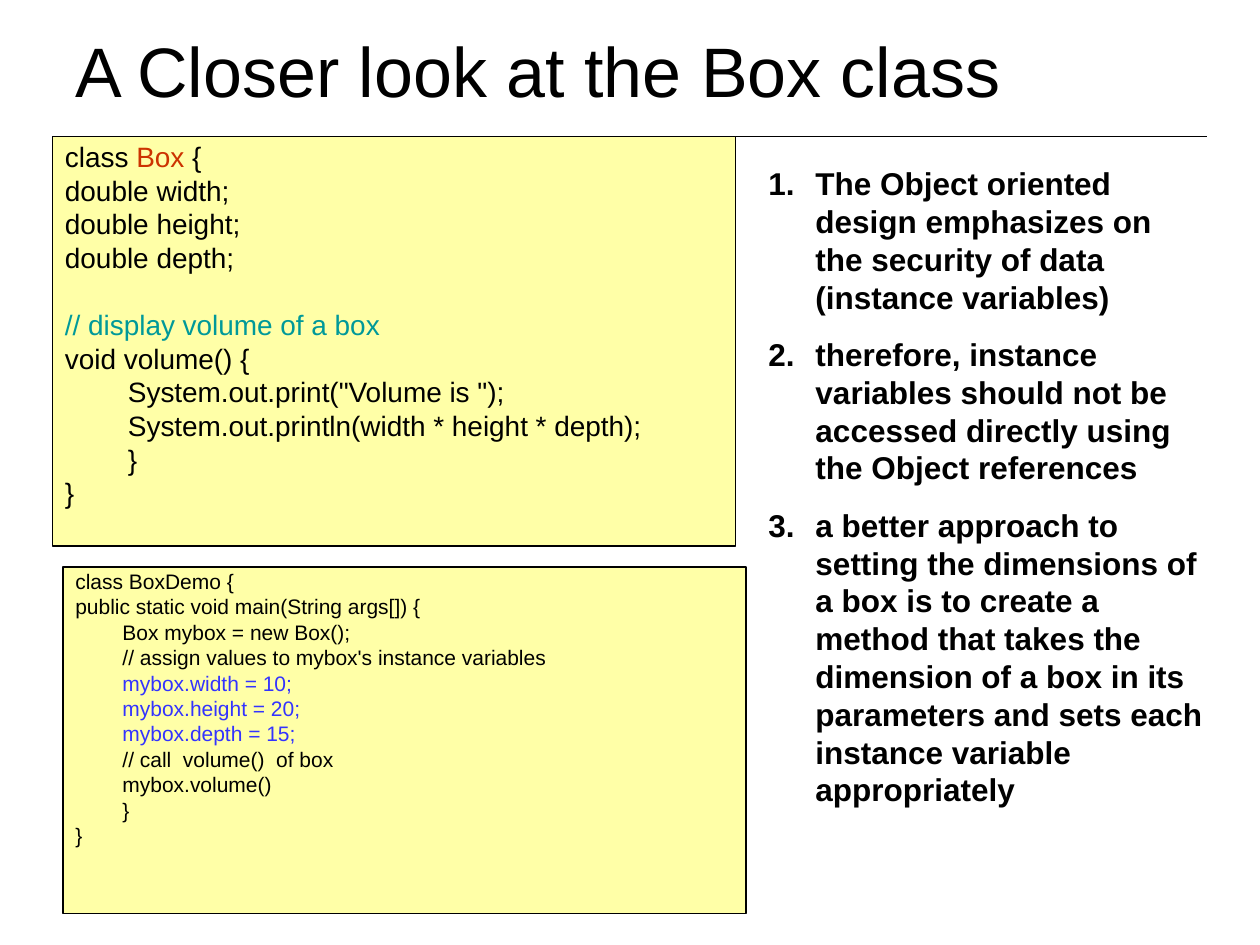
from lxml import etree
from pptx import Presentation
from pptx.dml.color import RGBColor
from pptx.enum.shapes import MSO_CONNECTOR, MSO_SHAPE
from pptx.enum.text import MSO_ANCHOR, PP_ALIGN
from pptx.oxml.ns import qn
from pptx.util import Cm, Pt

STRAIGHT = MSO_CONNECTOR.STRAIGHT
RECTANGLE = MSO_SHAPE.RECTANGLE
TOP, MIDDLE = MSO_ANCHOR.TOP, MSO_ANCHOR.MIDDLE
LEFT = PP_ALIGN.LEFT

FONT = "Arial"
BLACK, PALE_YELLOW = "000000", "FFFFA7"
RED, TEAL, BLUE = "CC3300", "009999", "3333FF"
HANGING = Cm(0.95)
BLANK_LINE = 19.2

BOX_CLASS = [
    [("class ", BLACK), ("Box", RED), (" {", BLACK)],
    [("double width;", BLACK)],
    [("double height;", BLACK)],
    [("double depth;", BLACK)],
    [("// display volume of a box", TEAL)],
    [("void volume() {", BLACK)],
    [('\tSystem.out.print("Volume is ");', BLACK)],
    [("\tSystem.out.println(width * height * depth);", BLACK)],
    [("\t}", BLACK)],
    [("}", BLACK)],
]
COMMENT_LINE = 4

BOX_DEMO = [
    [("class BoxDemo {", BLACK)],
    [("public static void main(String args[]) {", BLACK)],
    [("\tBox mybox = new Box();", BLACK)],
    [("\t// assign values to mybox's instance variables", BLACK)],
    [("\tmybox.width = 10;", BLUE)],
    [("\tmybox.height = 20;", BLUE)],
    [("\tmybox.depth = 15;", BLUE)],
    [("\t// call  volume()  of box", BLACK)],
    [("\tmybox.volume()", BLACK)],
    [("\t}", BLACK)],
    [("}", BLACK)],
]

DESIGN_POINTS = [
    "The Object oriented design emphasizes on the security of data (instance variables)",
    "therefore, instance variables should not be accessed directly using the Object references",
    "a better approach to setting the dimensions of a box is to create a method that takes "
    "the dimension of a box in its parameters and sets each instance variable appropriately",
]


def color(value):
    return RGBColor.from_string(value)


def set_frame(shape, anchor=TOP, wrap=True, top=0.13):
    frame = shape.text_frame
    frame.word_wrap = wrap
    frame.vertical_anchor = anchor
    frame.margin_left = frame.margin_right = Cm(0.25)
    frame.margin_top, frame.margin_bottom = Cm(top), Cm(0.13)
    return frame


def add_paragraphs(frame, lines, size, gap=0, bold=False):
    for index, runs in enumerate(lines):
        paragraph = frame.add_paragraph() if index else frame.paragraphs[0]
        paragraph.alignment = LEFT
        paragraph.space_before = Pt(gap if index else 0)
        for text, run_color in runs:
            run = paragraph.add_run()
            run.text = text
            run.font.name = FONT
            run.font.size = Pt(size)
            run.font.bold = bold
            run.font.color.rgb = color(run_color)
    return frame.paragraphs


def set_hanging(paragraph, numbered=False):
    properties = paragraph._p.get_or_add_pPr()
    properties.set("marL", str(HANGING))
    properties.set("indent", str(-HANGING))
    if numbered:
        number = etree.SubElement(properties, qn("a:buAutoNum"))
        number.set("type", "arabicPeriod")


def add_text_box(slide, left, top, width, height, anchor=TOP):
    shape = slide.shapes.add_textbox(Cm(left), Cm(top), Cm(width), Cm(height))
    return set_frame(shape, anchor)


def add_code_box(slide, left, top, width, height, wrap=True, inset=0.13):
    shape = slide.shapes.add_shape(RECTANGLE, Cm(left), Cm(top), Cm(width), Cm(height))
    shape.shadow.inherit = False
    shape.fill.solid()
    shape.fill.fore_color.rgb = color(PALE_YELLOW)
    shape.line.color.rgb = color(BLACK)
    shape.line.width = Pt(0.75)
    return set_frame(shape, wrap=wrap, top=inset)


def add_rule(slide, left, right, top):
    rule = slide.shapes.add_connector(STRAIGHT, Cm(left), Cm(top), Cm(right), Cm(top))
    rule.line.color.rgb = color(BLACK)
    rule.line.width = Pt(0.75)
    etree.SubElement(rule._element.spPr, qn("a:effectLst"))


def main():
    presentation = Presentation()
    presentation.slide_width, presentation.slide_height = Cm(25.4), Cm(19.05)
    slide = presentation.slides.add_slide(presentation.slide_layouts[6])

    add_rule(slide, 1.12, 24.33, 2.75)
    title = add_text_box(slide, 1.27, 0.76, 22.86, 1.27, MIDDLE)
    add_paragraphs(title, [[("A Closer look at the Box class", BLACK)]], 40)

    box_class = add_code_box(slide, 1.06, 2.75, 13.77, 8.26, wrap=False, inset=0.07)
    class_lines = add_paragraphs(box_class, BOX_CLASS, 16)
    class_lines[COMMENT_LINE].space_before = Pt(BLANK_LINE)

    points = add_text_box(slide, 15.24, 3.18, 9.32, 13.26)
    point_runs = [[(text, BLACK)] for text in DESIGN_POINTS]
    for paragraph in add_paragraphs(points, point_runs, 18, gap=11.2, bold=True):
        set_hanging(paragraph, numbered=True)

    box_demo = add_code_box(slide, 1.27, 11.43, 13.77, 6.99)
    for paragraph in add_paragraphs(box_demo, BOX_DEMO, 12, gap=3):
        paragraph.line_spacing = 0.8
        set_hanging(paragraph)

    presentation.save("out.pptx")


if __name__ == "__main__":
    main()
